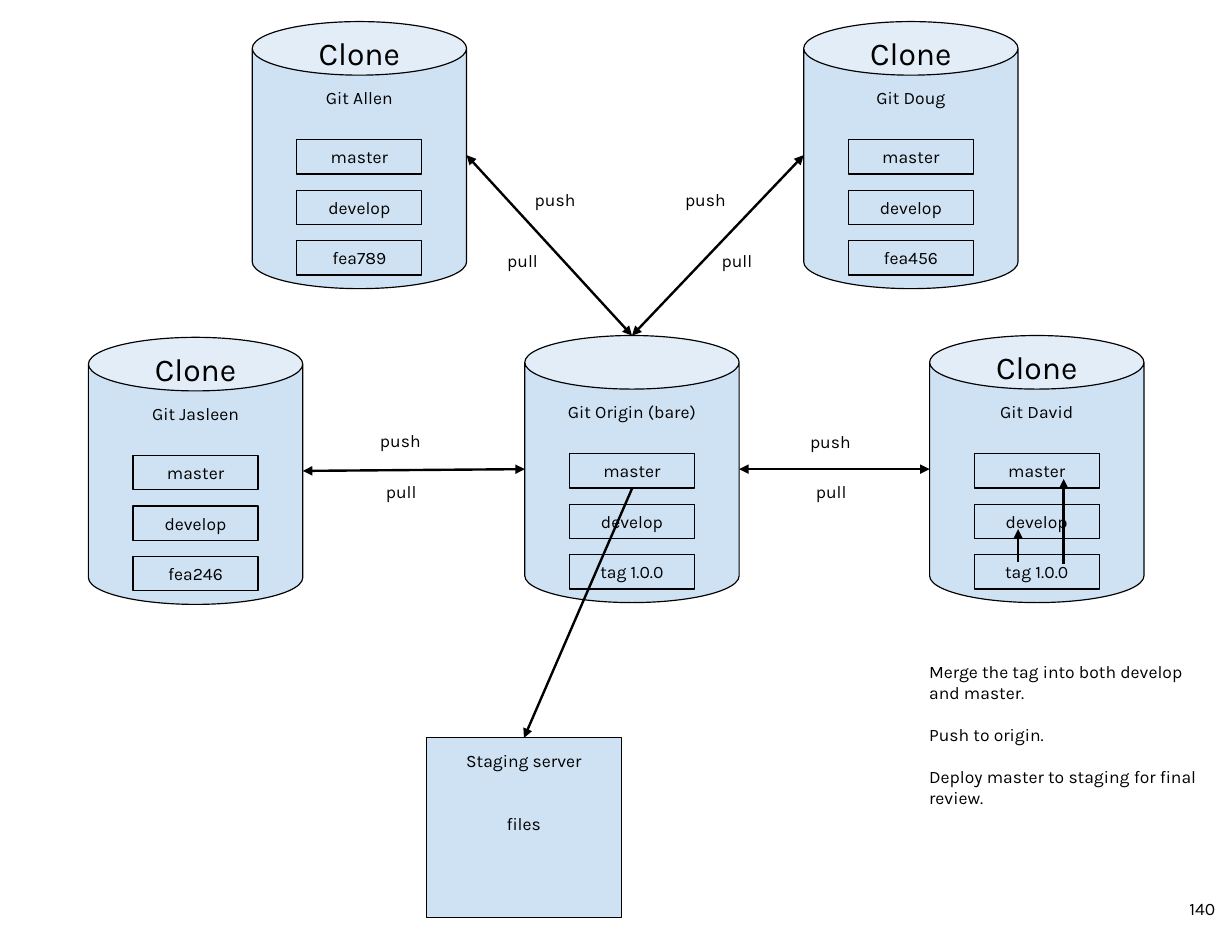
"""Build the slide showing a release tag merged, pushed and deployed to staging."""
from dataclasses import dataclass

from lxml import etree
from pptx import Presentation
from pptx import util as u
from pptx.dml import color
from pptx.enum import shapes, text
from pptx.oxml import ns

FONT = "Karla"
BLACK, BLUE = "000000", "CFE2F3"
INSET = 0.27
LINE_PT = 13.2
REPO_W, REPO_H = 4.75, 5.92
BRANCH_W, BRANCH_H = 2.77, 0.76
BRANCH_X, BRANCH_Y, BRANCH_PITCH = 0.99, 2.62, 1.12
Point = tuple[float, float]


@dataclass(frozen=True)
class Repo:
    owner: str
    left: float
    top: float
    third_branch: str
    is_clone: bool = True

    @property
    def west(self) -> Point:
        return self.left, self.top + REPO_H / 2

    @property
    def east(self) -> Point:
        return self.left + REPO_W, self.top + REPO_H / 2

    @property
    def north(self) -> Point:
        return self.left + REPO_W / 2, self.top


@dataclass(frozen=True)
class Arrow:
    start: Point
    end: Point
    both_ways: bool = False


@dataclass(frozen=True)
class Label:
    wording: str
    left: float
    top: float


ORIGIN = Repo("Git Origin (bare)", 11.63, 7.44, "tag 1.0.0", False)
DAVID = Repo("Git David", 20.6, 7.44, "tag 1.0.0")
DOUG = Repo("Git Doug", 17.81, 0.48, "fea456")
ALLEN = Repo("Git Allen", 5.59, 0.48, "fea789")
JASLEEN = Repo("Git Jasleen", 1.96, 7.48, "fea246")
REPOS = [ORIGIN, DAVID, DOUG, ALLEN, JASLEEN]

ARROWS = [
    Arrow(ORIGIN.east, DAVID.west, True),
    Arrow(ORIGIN.north, DOUG.west, True),
    Arrow(ORIGIN.north, ALLEN.east, True),
    Arrow(ORIGIN.west, JASLEEN.east, True),
    Arrow((22.56, 12.45), (22.56, 11.73)),
    Arrow((23.57, 12.5), (23.57, 10.62)),
    Arrow((14.01, 10.82), (11.61, 16.36)),
]
LABELS = [
    Label("push", 17.68, 9.32), Label("pull", 17.81, 10.44),
    Label("push", 8.15, 9.3), Label("pull", 8.28, 10.42),
    Label("push", 11.58, 3.96), Label("pull", 10.97, 5.31),
    Label("push", 14.91, 3.96), Label("pull", 15.72, 5.31),
]
STEPS = [
    "Merge the tag into both develop and master.",
    "Push to origin.",
    "Deploy master to staging for final review.",
]


def rgb(value: str) -> color.RGBColor:
    return color.RGBColor.from_string(value)


def write(part, lines: list[str], align=text.PP_ALIGN.CENTER, size: float = 11,
          anchor=text.MSO_ANCHOR.TOP, gap: float = 0) -> None:
    frame = part.text_frame
    frame.word_wrap = True
    frame.vertical_anchor = anchor
    frame.margin_left = frame.margin_right = u.Cm(INSET)
    frame.margin_top = frame.margin_bottom = u.Cm(INSET)
    frame.text = "\n".join(lines)
    for index, paragraph in enumerate(frame.paragraphs):
        paragraph.alignment = align
        paragraph.font.name = FONT
        paragraph.font.size = u.Pt(size)
        paragraph.font.color.rgb = rgb(BLACK)
        if index:
            paragraph.space_before = u.Pt(gap)


def add_block(slide, kind, left: float, top: float, width: float, height: float,
              lines: list[str], **style) -> None:
    block = slide.shapes.add_shape(kind, u.Cm(left), u.Cm(top), u.Cm(width), u.Cm(height))
    block.shadow.inherit = False
    block.fill.solid()
    block.fill.fore_color.rgb = rgb(BLUE)
    block.line.color.rgb = rgb(BLACK)
    block.line.width = u.Pt(0.75)
    write(block, lines, **style)


def add_text(slide, left: float, top: float, width: float, height: float,
             lines: list[str], **style) -> None:
    box = slide.shapes.add_textbox(u.Cm(left), u.Cm(top), u.Cm(width), u.Cm(height))
    write(box, lines, **style)


def add_repo(slide, repo: Repo) -> None:
    add_block(slide, shapes.MSO_SHAPE.CAN, repo.left, repo.top, REPO_W, REPO_H, [repo.owner])
    inner_left = repo.left + BRANCH_X
    for row, branch in enumerate(["master", "develop", repo.third_branch]):
        add_block(slide, shapes.MSO_SHAPE.RECTANGLE, inner_left,
                  repo.top + BRANCH_Y + row * BRANCH_PITCH, BRANCH_W, BRANCH_H,
                  [branch], anchor=text.MSO_ANCHOR.MIDDLE)
    if repo.is_clone:
        add_text(slide, inner_left, repo.top, BRANCH_W, 1.04, ["Clone"], size=20)


def add_arrow(slide, arrow: Arrow) -> None:
    ends = [u.Cm(value) for value in (*arrow.start, *arrow.end)]
    link = slide.shapes.add_connector(shapes.MSO_CONNECTOR.STRAIGHT, *ends)
    link.line.color.rgb = rgb(BLACK)
    link.line.width = u.Pt(1.5)
    outline = link.line._get_or_add_ln()
    for tag in ["a:headEnd", "a:tailEnd"] if arrow.both_ways else ["a:tailEnd"]:
        etree.SubElement(outline, ns.qn(tag), type="triangle")
    etree.SubElement(link._element.spPr, ns.qn("a:effectLst"))


def main() -> None:
    deck = Presentation()
    deck.slide_width, deck.slide_height = u.Cm(27.3), u.Cm(20.95)
    slide = deck.slides.add_slide(deck.slide_layouts[6])
    for repo in REPOS:
        add_repo(slide, repo)
    add_block(slide, shapes.MSO_SHAPE.RECTANGLE, 9.45, 16.36, 4.32, 3.99,
              ["Staging server", "files"], gap=2 * LINE_PT)
    for arrow in ARROWS:
        add_arrow(slide, arrow)
    for label in LABELS:
        add_text(slide, label.left, label.top, 1.8, 1.05, [label.wording],
                 align=text.PP_ALIGN.LEFT)
    add_text(slide, 20.32, 14.38, 6.53, 4.5, STEPS, align=text.PP_ALIGN.LEFT, gap=LINE_PT)
    add_text(slide, 25.55, 19.35, 1.65, 1.6, ["140"], align=text.PP_ALIGN.RIGHT,
             anchor=text.MSO_ANCHOR.MIDDLE)
    deck.save("out.pptx")


if __name__ == "__main__":
    main()
